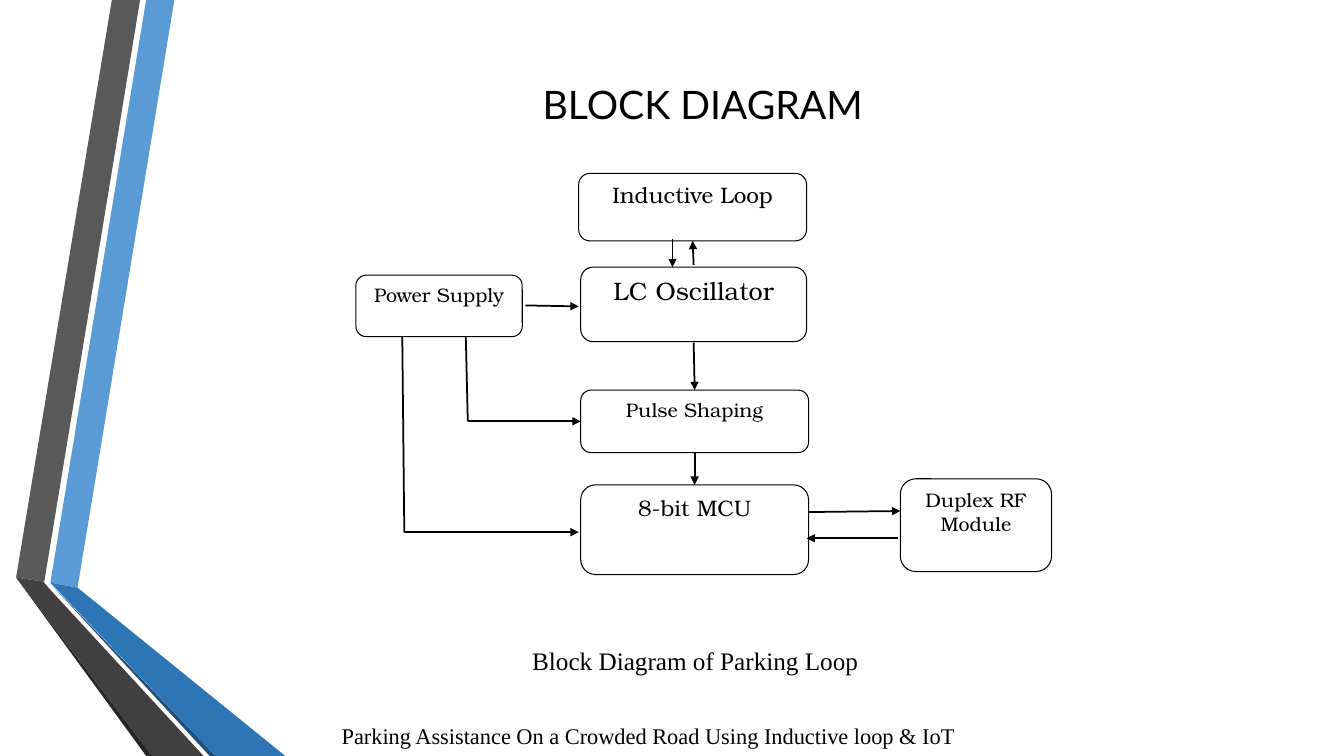
from lxml import etree
from pptx import Presentation
from pptx.dml.color import RGBColor
from pptx.enum.shapes import MSO_CONNECTOR, MSO_SHAPE
from pptx.enum.text import MSO_ANCHOR, MSO_AUTO_SIZE, PP_ALIGN
from pptx.oxml.ns import qn
from pptx.util import Inches, Pt

STRAIGHT = MSO_CONNECTOR.STRAIGHT
ROUNDED = MSO_SHAPE.ROUNDED_RECTANGLE
TOP, MIDDLE, BOTTOM = MSO_ANCHOR.TOP, MSO_ANCHOR.MIDDLE, MSO_ANCHOR.BOTTOM
LEFT, CENTER = PP_ALIGN.LEFT, PP_ALIGN.CENTER
FIXED = MSO_AUTO_SIZE.NONE

COLORS = {
    "ink": "000000", "paper": "FFFFFF", "sky": "5B9BD5", "gray": "595959",
    "coal": "262626", "navy": "1F4E79", "blue": "2E75B6", "dark": "404040",
}
SANS, SERIF, BOOK = "Lato", "Times New Roman", "TeX Gyre Bonum"

# Ribbon colour, corner points
RIBBONS = [
    ("sky", [(0.5, 5.78), (0.77, 5.83), (1.73, 0), (1.45, 0)]),
    ("gray", [(1.39, 0), (1.11, 0), (0.16, 5.73), (0.44, 5.77)]),
    ("coal", [(0.16, 5.73), (1.45, 7.5), (1.51, 7.5)]),
    ("navy", [(0.5, 5.79), (2.08, 7.5), (2.14, 7.5)]),
    ("blue", [(0.5, 5.78), (2.14, 7.5), (2.83, 7.5), (0.77, 5.83)]),
    ("dark", [(2.02, 7.5), (0.48, 5.83), (0.43, 5.77), (0.16, 5.73),
              (1.51, 7.5)]),
]

TITLE = ("BLOCK DIAGRAM", (2.81, 0.55, 8.32, 0.76), SANS, 28, CENTER, BOTTOM)

# Text, box, font, size, alignment, anchor
LABELS = [
    ("Block Diagram of Parking Loop", (5.18, 6.35, 3.55, 0.4),
     SERIF, 18, LEFT, TOP),
    ("Parking Assistance On a Crowded Road Using Inductive loop & IoT",
     (3.29, 7.11, 9.77, 0.37), SERIF, 16, LEFT, MIDDLE),
]

# Text, box, size
BLOCKS = [
    ("Inductive Loop", (5.74, 1.72, 2.26, 0.67), 16),
    ("LC Oscillator", (5.76, 2.65, 2.24, 0.74), 18),
    ("Pulse Shaping", (5.76, 3.87, 2.26, 0.62), 14),
    ("8-bit MCU", (5.76, 4.81, 2.26, 0.89), 16),
    ("Power Supply", (3.53, 2.73, 1.65, 0.61), 14),
    ("Duplex RF Module", (8.93, 4.75, 1.5, 0.92), 14),
]

# Points along each wire; the last one takes the arrowhead
WIRES = [
    [(5.21, 3.03), (5.74, 3.04)],
    [(3.99, 3.34), (4.01, 5.28), (5.74, 5.28)],
    [(4.62, 3.34), (4.64, 4.18), (5.76, 4.18)],
    [(6.67, 2.37), (6.67, 2.65)],
    [(6.88, 2.63), (6.87, 2.39)],
    [(6.88, 3.4), (6.89, 3.87)],
    [(6.89, 4.49), (6.89, 4.81)],
    [(8.02, 5.08), (8.93, 5.07)],
    [(8.91, 5.34), (8, 5.34)],
]


def color(name):
    return RGBColor.from_string(COLORS[name])


def inches(values):
    return [Inches(v) for v in values]


def write(shape, text, font, size, align, anchor):
    frame = shape.text_frame
    frame.text = text
    form = {"word_wrap": True, "auto_size": FIXED, "vertical_anchor": anchor}
    for key, value in form.items():
        setattr(frame, key, value)
    para = frame.paragraphs[0]
    para.alignment = align
    style = para.runs[0].font
    for key, value in {"name": font, "size": Pt(size), "bold": False}.items():
        setattr(style, key, value)
    style.color.rgb = color("ink")


def paint(shape, fill):
    shape.shadow.inherit = False
    shape.fill.solid()
    shape.fill.fore_color.rgb = color(fill)


def add_ribbon(shapes, fill, points):
    first, *rest = [inches(p) for p in points]
    form = shapes.build_freeform(*first)
    form.add_line_segments(rest, close=True)
    shape = form.convert_to_shape()
    paint(shape, fill)
    shape.line.fill.background()


def add_block(shapes, text, box, size):
    shape = shapes.add_shape(ROUNDED, *inches(box))
    paint(shape, "paper")
    shape.line.color.rgb = color("ink")
    shape.line.width = Pt(0.75)
    write(shape, text, BOOK, size, CENTER, TOP)


def add_wire(shapes, points):
    for start, end in zip(points, points[1:]):
        wire = shapes.add_connector(STRAIGHT, *inches(start + end))
        wire.line.color.rgb = color("ink")
        wire.line.width = Pt(1.25)
        if end == points[-1]:
            tip = etree.SubElement(wire.line._get_or_add_ln(), qn("a:tailEnd"))
            tip.set("type", "triangle")
        etree.SubElement(wire._element.spPr, qn("a:effectLst"))


def main():
    deck = Presentation()
    deck.slide_width, deck.slide_height = Inches(13.33), Inches(7.5)
    slide = deck.slides.add_slide(deck.slide_layouts[5])
    shapes = slide.shapes
    for fill, points in RIBBONS:
        add_ribbon(shapes, fill, points)

    text, box, *style = TITLE
    title = shapes.title
    title.left, title.top, title.width, title.height = inches(box)
    write(title, text, *style)

    for block in BLOCKS:
        add_block(shapes, *block)
    for points in WIRES:
        add_wire(shapes, points)
    for text, box, *style in LABELS:
        write(shapes.add_textbox(*inches(box)), text, *style)
    deck.save("out.pptx")


if __name__ == "__main__":
    main()
